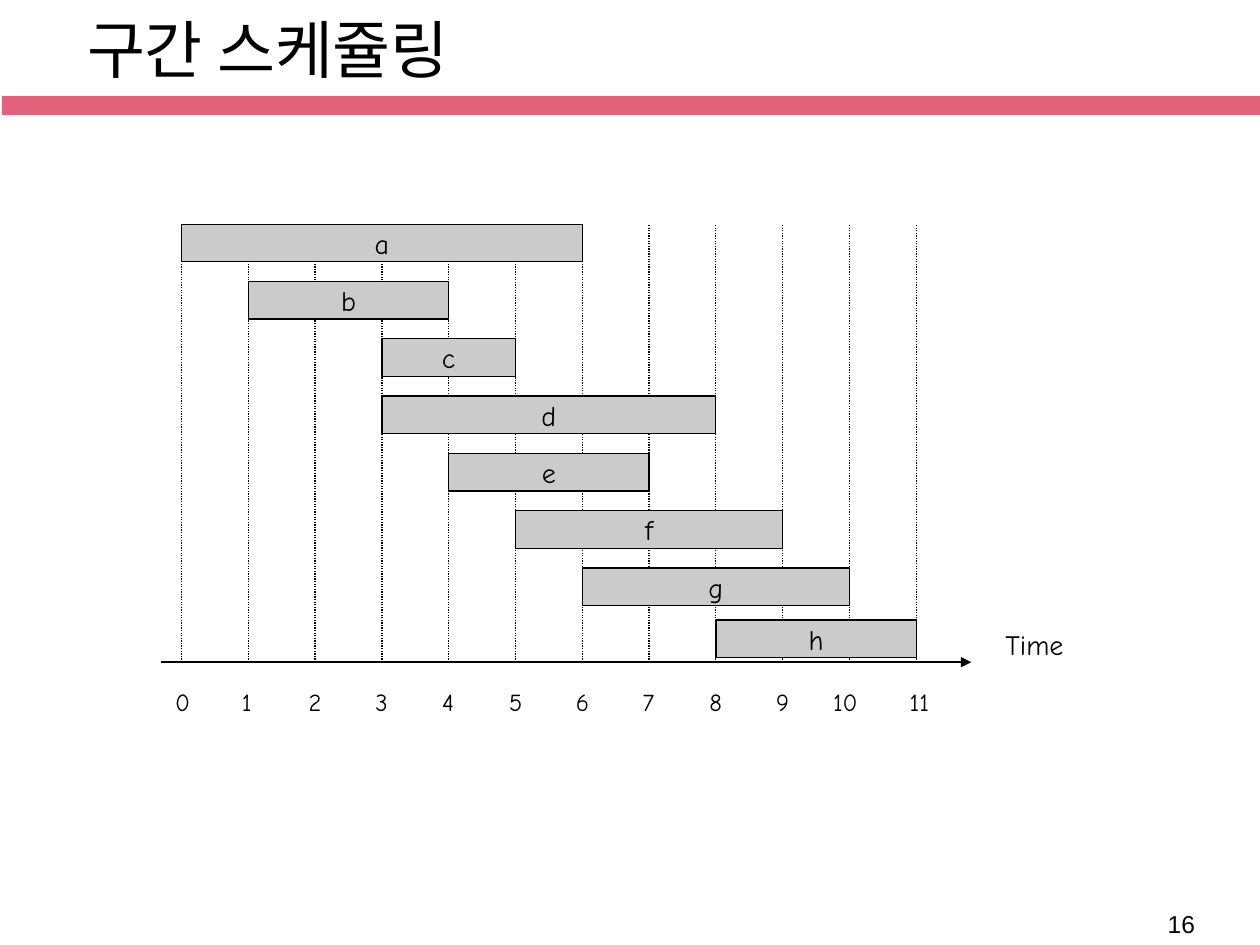
import pptx
import pptx.util
import pptx.dml.color
import pptx.enum.dml
import pptx.enum.shapes
import pptx.enum.text
from dataclasses import dataclass
from lxml import etree
from pptx.oxml.ns import qn

Cm, Pt = pptx.util.Cm, pptx.util.Pt
RGB = pptx.dml.color.RGBColor.from_string
ALIGN = pptx.enum.text.PP_ALIGN
ANCHOR = pptx.enum.text.MSO_ANCHOR
RECTANGLE = pptx.enum.shapes.MSO_SHAPE.RECTANGLE
STRAIGHT = pptx.enum.shapes.MSO_CONNECTOR.STRAIGHT
DOTTED = pptx.enum.dml.MSO_LINE.ROUND_DOT

TITLE = "구간 스케쥴링"
PAGE_NUMBER = "16"
AXIS_NAME = "Time"
LAST_TICK = 11
# name, start time, finish time
INTERVALS = [
    ("a", 0, 6), ("b", 1, 4), ("c", 3, 5), ("d", 3, 8),
    ("e", 4, 7), ("f", 5, 9), ("g", 6, 10), ("h", 8, 11),
]


@dataclass(frozen=True)
class Theme:
    ink: str = "000000"
    paper: str = "FFFFFF"
    band: str = "E4627B"
    bar: str = "CBCBCB"
    body_font: str = "Comic Neue"
    heading_font: str = "Arial"
    title_size: int = 36
    label_size: int = 16
    small_size: int = 14
    thin: float = 0.75
    thick: float = 1.25


THEME = Theme()

# Chart geometry in centimetres
TIME_LEFT, TIME_RIGHT = 3.66, 18.47
CHART_TOP, AXIS_Y = 4.52, 13.35
ROW_STEP, BAR_HEIGHT = 1.155, 0.76
LAST_BAR_TOP = 12.5  # the last bar stands directly on the axis
TICK_INDENT, WIDE_TICK_INDENT = 0.38, 0.58


def time_x(time):
    return TIME_LEFT + time * (TIME_RIGHT - TIME_LEFT) / LAST_TICK


def write(shape, text, size, font=THEME.body_font, align=ALIGN.LEFT,
          anchor=ANCHOR.TOP, wrap=True):
    frame = shape.text_frame
    frame.word_wrap = wrap
    frame.vertical_anchor = anchor
    frame.text = text
    paragraph = frame.paragraphs[0]
    paragraph.alignment = align
    paragraph.font.size = Pt(size)
    paragraph.font.name = font
    paragraph.font.color.rgb = RGB(THEME.ink)


def outline(shape, colour, width):
    shape.line.color.rgb = RGB(colour)
    shape.line.width = Pt(width)


def add_rectangle(slide, left, top, width, height, fill, line, line_width):
    shape = slide.shapes.add_shape(RECTANGLE, Cm(left), Cm(top), Cm(width), Cm(height))
    shape.shadow.inherit = False
    shape.fill.solid()
    shape.fill.fore_color.rgb = RGB(fill)
    outline(shape, line, line_width)
    return shape


def add_label(slide, left, top, width, height, text, size, font=THEME.body_font):
    label = slide.shapes.add_textbox(Cm(left), Cm(top), Cm(width), Cm(height))
    write(label, text, size, font)
    return label


def add_line(slide, x1, y1, x2, y2, width):
    line = slide.shapes.add_connector(STRAIGHT, Cm(x1), Cm(y1), Cm(x2), Cm(y2))
    outline(line, THEME.ink, width)
    etree.SubElement(line._element.spPr, qn("a:effectLst"))
    return line


def add_heading(slide):
    add_rectangle(slide, 0.02, 1.91, 25.4, 0.43, THEME.band, THEME.paper, 1)
    title = slide.shapes.title
    title.left, title.top, title.width, title.height = Cm(1.5), Cm(0.03), Cm(22.6), Cm(1.9)
    write(title, TITLE, THEME.title_size, THEME.heading_font, anchor=ANCHOR.MIDDLE)
    add_label(slide, 23.29, 18.21, 1.45, 0.86, PAGE_NUMBER,
              THEME.small_size, THEME.heading_font)


def add_time_axis(slide):
    axis = add_line(slide, 3.25, AXIS_Y, 19.58, AXIS_Y, THEME.thick)
    etree.SubElement(axis.line._get_or_add_ln(), qn("a:tailEnd"), type="triangle")
    name = add_label(slide, 20.02, 12.52, 2.11, 0.94, AXIS_NAME, THEME.label_size)
    outline(name, THEME.paper, THEME.thick)
    for tick in range(LAST_TICK + 1):
        x = time_x(tick)
        grid_line = add_line(slide, x, AXIS_Y, x, CHART_TOP, THEME.thin)
        grid_line.line.dash_style = DOTTED
        indent = WIDE_TICK_INDENT if tick == 10 else TICK_INDENT
        label = add_label(slide, x - indent, 13.72, 1.14, 0.84, str(tick), THEME.small_size)
        outline(label, THEME.paper, THEME.thick)


def add_intervals(slide):
    for row, (name, start, finish) in enumerate(INTERVALS):
        is_last = row == len(INTERVALS) - 1
        top = LAST_BAR_TOP if is_last else CHART_TOP + row * ROW_STEP
        bar = add_rectangle(slide, time_x(start), top, time_x(finish) - time_x(start),
                            BAR_HEIGHT, THEME.bar, THEME.ink, THEME.thin)
        write(bar, name, THEME.label_size, align=ALIGN.CENTER,
              anchor=ANCHOR.MIDDLE, wrap=False)


def main():
    presentation = pptx.Presentation()
    presentation.slide_width, presentation.slide_height = Cm(25.4), Cm(19.05)
    slide = presentation.slides.add_slide(presentation.slide_layouts[5])
    add_heading(slide)
    add_time_axis(slide)
    add_intervals(slide)
    presentation.save("out.pptx")


if __name__ == "__main__":
    main()
